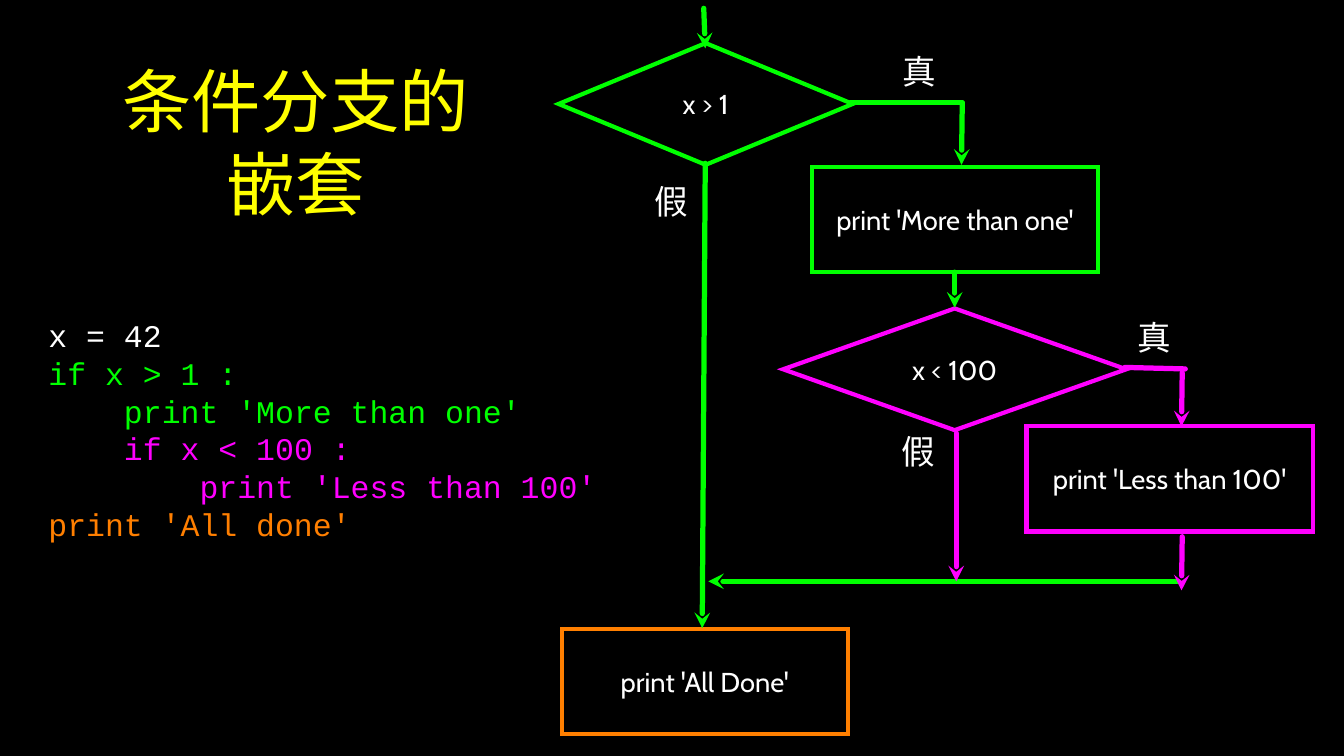
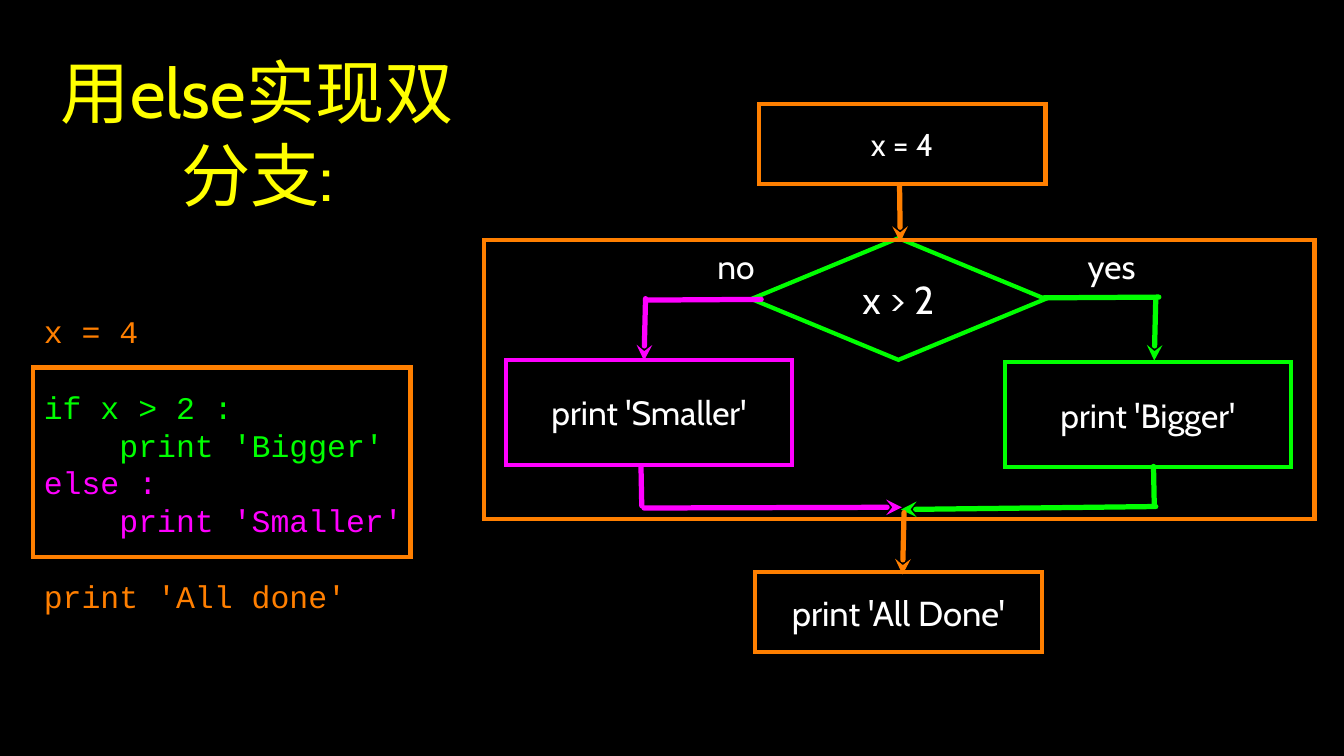
from lxml import etree
from pptx import Presentation
from pptx.dml.color import RGBColor
from pptx.enum.shapes import MSO_CONNECTOR, MSO_SHAPE
from pptx.enum.text import MSO_ANCHOR, PP_ALIGN
from pptx.oxml.ns import qn
from pptx.util import Inches, Pt

BLACK = RGBColor(0, 0, 0)
WHITE = RGBColor(255, 255, 255)
GREEN = RGBColor(0, 255, 0)
PINK = RGBColor(255, 0, 255)
ORANGE = RGBColor(255, 127, 0)
YELLOW = RGBColor(255, 255, 0)

RECT, DIAMOND = MSO_SHAPE.RECTANGLE, MSO_SHAPE.DIAMOND
STRAIGHT = MSO_CONNECTOR.STRAIGHT
MIDDLE = MSO_ANCHOR.MIDDLE
LEFT, CENTER = PP_ALIGN.LEFT, PP_ALIGN.CENTER

BODY, MONO = "Cabin", "Courier New"
TITLE_SIZE, LABEL_SIZE, CODE_SIZE, LINE_STEP = 66, 32, 30, 36
TAB = 1.0  # four monospaced characters at the code size
TEST = (DIAMOND, 3.89, 1.61)
WIDE = (DIAMOND, 4.54, 1.61)
STEP = (RECT, 3.79, 1.39)
SLIM = (RECT, 3.79, 1.06)

# nodes: text, form, left, top, colour, text size
# lines: from, to, colour; arrows point at their second end
# code: text, indent level, blank lines above, colour
SLIDES = [
    {
        "title": ("条件分支的嵌套", (1.28, 0.61, 5.26, 2.51)),
        "code_box": (0.64, 3.86, 7.38, 3.64),
        "code": [
            ("x = 42", 0, 0, WHITE),
            ("if x > 1 :", 0, 0, GREEN),
            ("print 'More than one'", 1, 0, GREEN),
            ("if x < 100 :", 1, 0, PINK),
            ("print 'Less than 100'", 2, 0, PINK),
            ("print 'All done'", 0, 0, ORANGE),
        ],
        "nodes": [
            ("x > 1", TEST, 7.39, 0.57, GREEN, 26),
            ("print 'More than one'", STEP, 10.74, 2.21, GREEN, 26),
            ("x < 100", WIDE, 10.36, 4.08, PINK, 26),
            ("print 'Less than 100'", STEP, 13.58, 5.64, PINK, 26),
            ("print 'All Done'", STEP, 7.43, 8.32, ORANGE, 26),
        ],
        "lines": [
            ((11.25, 1.36), (12.73, 1.36), GREEN),
            ((14.88, 4.86), (15.68, 4.88), PINK),
        ],
        "arrows": [
            ((12.73, 1.36), (12.72, 2.18), GREEN),
            ((9.33, 2.16), (9.29, 8.31), GREEN),
            ((15.64, 4.93), (15.63, 5.64), PINK),
            ((12.63, 3.6), (12.63, 4.07), GREEN),
            ((15.59, 7.69), (9.37, 7.69), GREEN),
            ((9.31, 0.11), (9.33, 0.64), GREEN),
            ((12.65, 5.73), (12.65, 7.69), PINK),
            ((15.64, 7.1), (15.63, 7.81), PINK),
        ],
        "labels": [
            ("真", (11.81, 0.63, 0.69, 0.61)),
            ("真", (14.93, 4.16, 0.69, 0.61)),
            ("假", (11.85, 5.66, 0.59, 0.61)),
            ("假", (8.58, 2.35, 0.59, 0.61)),
        ],
        "frames": [],
    },
    {
        "title": ("用else实现双分支:", (0.61, 0.5, 5.59, 2.51)),
        "code_box": (0.58, 3.35, 5.26, 5.56),
        "code": [
            ("x = 4", 0, 0, ORANGE),
            ("if x > 2 :", 0, 1, GREEN),
            ("print 'Bigger'", 1, 0, GREEN),
            ("else :", 0, 0, PINK),
            ("print 'Smaller'", 1, 0, PINK),
            ("print 'All done'", 0, 1, ORANGE),
        ],
        "nodes": [
            ("x > 2", TEST, 9.94, 3.15, GREEN, 37),
            ("print 'Bigger'", STEP, 13.29, 4.79, GREEN, 32),
            ("x = 4", SLIM, 10.04, 1.38, ORANGE, 30),
            ("print 'Smaller'", STEP, 6.69, 4.76, PINK, 32),
            ("print 'All Done'", SLIM, 9.99, 7.57, ORANGE, 33),
        ],
        "lines": [
            ((13.81, 3.94), (15.33, 3.93), GREEN),
            ((15.27, 6.67), (15.26, 6.17), GREEN),
            ((8.54, 3.97), (10.07, 3.96), PINK),
            ((8.49, 6.69), (8.48, 6.18), PINK),
        ],
        "arrows": [
            ((15.29, 3.95), (15.27, 4.77), GREEN),
            ((15.29, 6.7), (11.92, 6.74), GREEN),
            ((11.9, 2.45), (11.91, 3.2), ORANGE),
            ((8.54, 3.95), (8.52, 4.77), PINK),
            ((8.52, 6.72), (11.93, 6.71), PINK),
            ((11.96, 6.78), (11.94, 7.6), ORANGE),
        ],
        "labels": [
            ("yes", (14.36, 3.22, 0.69, 0.61)),
            ("no", (9.44, 3.22, 0.59, 0.61)),
        ],
        "frames": [(6.4, 3.17, 10.99, 3.69), (0.44, 4.86, 4.99, 2.51)],
    },
]


def inches(box):
    return [Inches(n) for n in box]


def set_frame(shape, inset=0):
    frame = shape.text_frame
    frame.word_wrap = True
    frame.vertical_anchor = MIDDLE
    frame.margin_left = frame.margin_right = Inches(inset)
    frame.margin_top = frame.margin_bottom = Inches(inset)
    return frame


def set_text(para, text, size, color, font=BODY, align=CENTER):
    para.text = text
    para.alignment = align
    for run in para.runs:
        run.font.name = font
        run.font.size = Pt(size)
        run.font.color.rgb = color


def add_text(slide, text, box, size, color, inset=0):
    frame = set_frame(slide.shapes.add_textbox(*inches(box)), inset)
    set_text(frame.paragraphs[0], text, size, color)


def add_outline(slide, form, box, color):
    shape = slide.shapes.add_shape(form, *inches(box))
    shape.shadow.inherit = False
    shape.fill.background()
    shape.line.color.rgb = color
    shape.line.width = Pt(4)
    etree.SubElement(shape.line._get_or_add_ln(), qn("a:miter"), lim="800000")
    return shape


def add_node(slide, text, form, left, top, color, size):
    kind, width, height = form
    shape = add_outline(slide, kind, (left, top, width, height), color)
    set_text(set_frame(shape).paragraphs[0], text, size, WHITE)


def add_line(slide, start, end, color, arrow=False):
    link = slide.shapes.add_connector(STRAIGHT, *inches(start + end))
    link.line.color.rgb = color
    link.line.width = Pt(5)
    ln = link.line._get_or_add_ln()
    ln.set("cap", "rnd")
    if arrow:
        etree.SubElement(ln, qn("a:tailEnd"), type="stealth")
    etree.SubElement(link._element.spPr, qn("a:effectLst"))


def add_code(slide, rows, box):
    frame = set_frame(slide.shapes.add_textbox(*inches(box)))
    for i, (text, level, gap, color) in enumerate(rows):
        para = frame.add_paragraph() if i else frame.paragraphs[0]
        set_text(para, text, CODE_SIZE, color, MONO, LEFT)
        para.line_spacing = Pt(LINE_STEP)
        para.space_before = Pt(gap * LINE_STEP)
        props = para._p.get_or_add_pPr()
        props.set("marL", str(Inches(level * TAB)))
        props.set("indent", "0")


def add_slide(deck, data):
    slide = deck.slides.add_slide(deck.slide_layouts[6])
    slide.background.fill.solid()
    slide.background.fill.fore_color.rgb = BLACK
    for node in data["nodes"]:
        add_node(slide, *node)
    for line in data["lines"]:
        add_line(slide, *line)
    for line in data["arrows"]:
        add_line(slide, *line, arrow=True)
    for text, box in data["labels"]:
        add_text(slide, text, box, LABEL_SIZE, WHITE)
    for box in data["frames"]:
        add_outline(slide, RECT, box, ORANGE)
    add_code(slide, data["code"], data["code_box"])
    title, box = data["title"]
    add_text(slide, title, box, TITLE_SIZE, YELLOW, 0.04)


def main():
    deck = Presentation()
    deck.slide_width, deck.slide_height = Inches(17.78), Inches(10)
    for data in SLIDES:
        add_slide(deck, data)
    deck.save("out.pptx")


if __name__ == "__main__":
    main()
